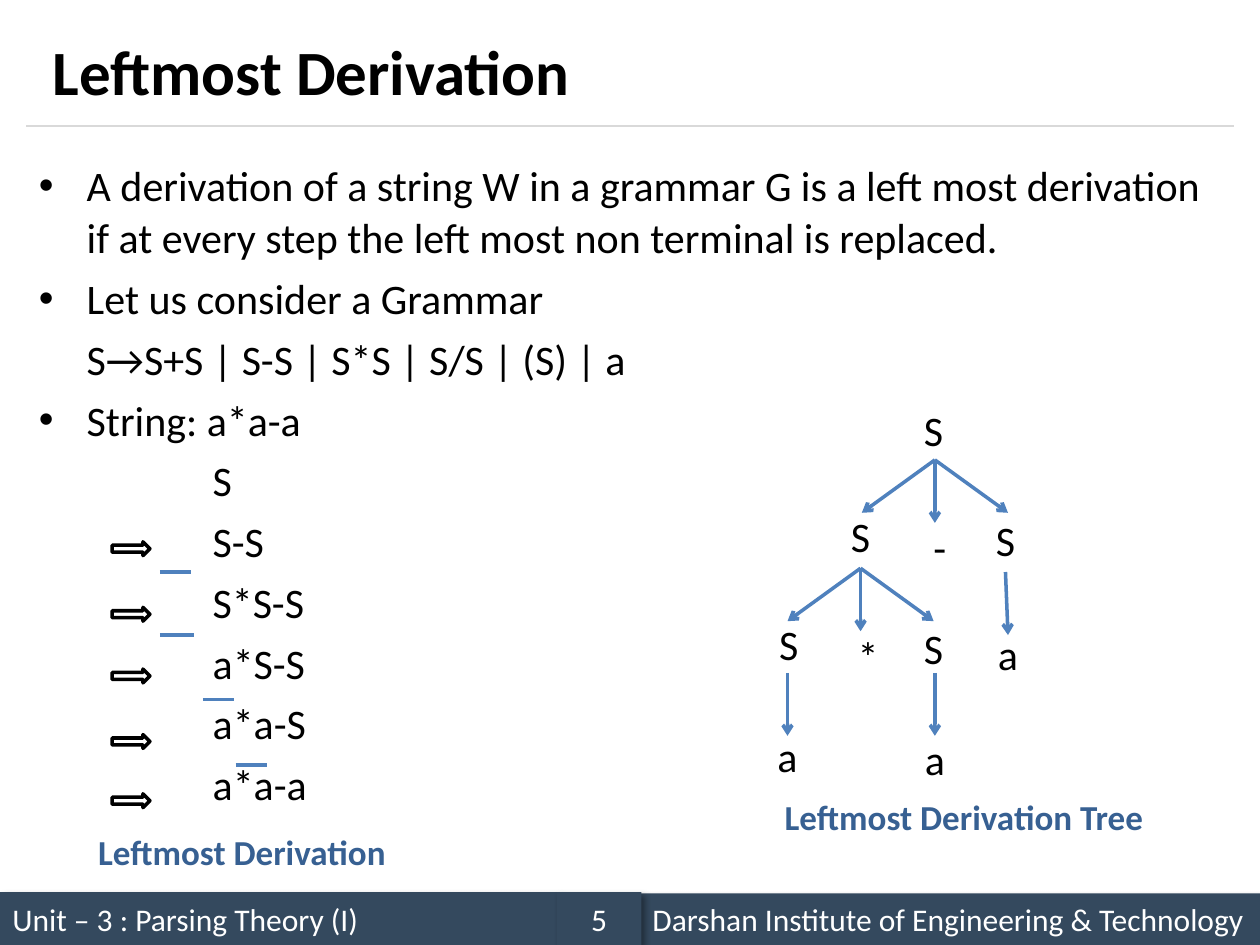
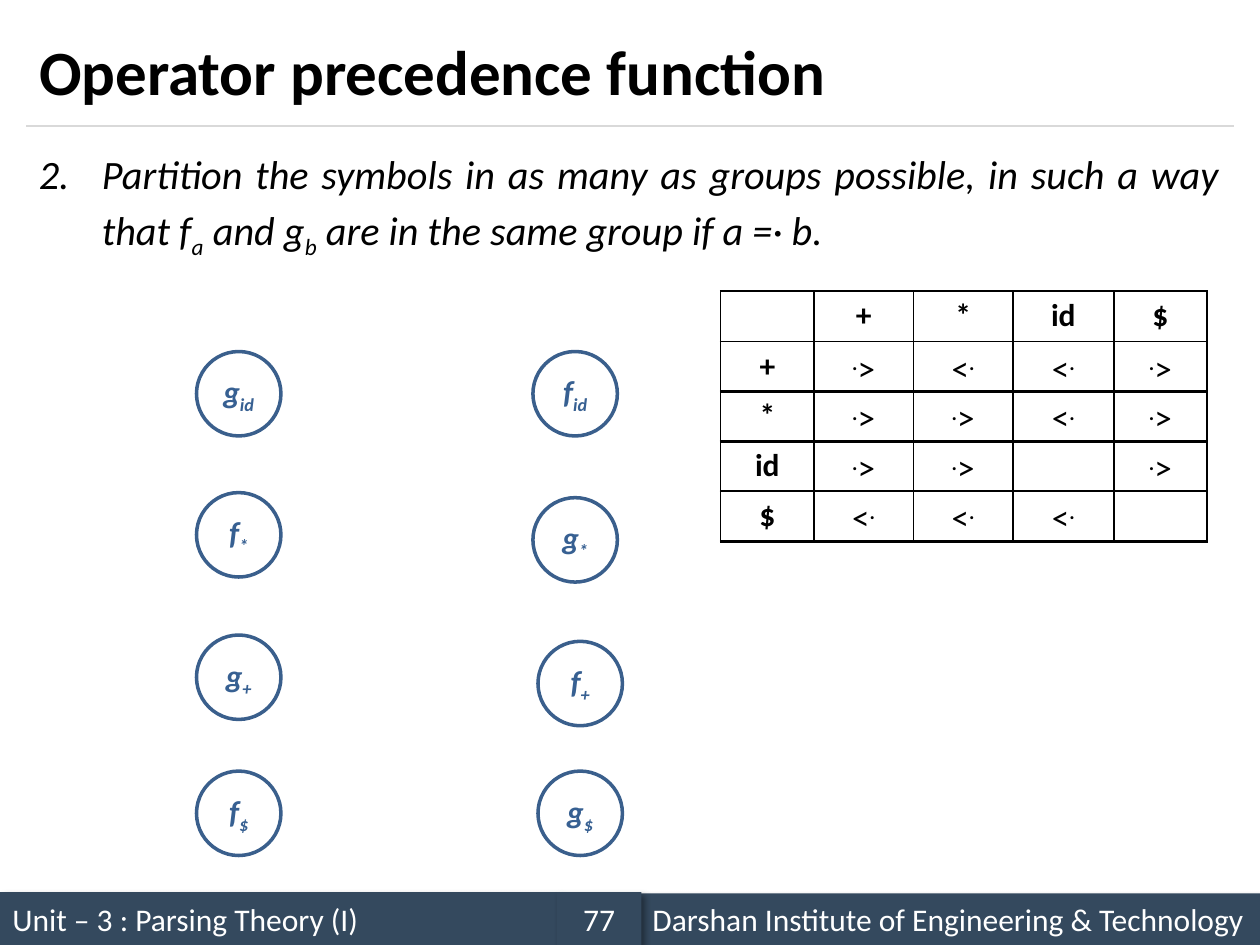
from lxml import etree
from pptx import Presentation
from pptx.dml.color import RGBColor
from pptx.enum.shapes import MSO_CONNECTOR, MSO_SHAPE
from pptx.enum.text import MSO_ANCHOR, PP_ALIGN
from pptx.oxml.ns import qn
from pptx.util import Inches, Pt

LINE = MSO_CONNECTOR.STRAIGHT
RECT = MSO_SHAPE.RECTANGLE
OVAL = MSO_SHAPE.OVAL
ARROW = MSO_SHAPE.RIGHT_ARROW
MIDDLE = MSO_ANCHOR.MIDDLE
LEFT, CENTER, JUSTIFY = PP_ALIGN.LEFT, PP_ALIGN.CENTER, PP_ALIGN.JUSTIFY

FONT = "Calibri"
BLACK, WHITE, GREY = "000000", "FFFFFF", "D9D9D9"
BAND, BLUE, RING, CAPTION = "34495E", "4F81BD", "3A5F8C", "376092"
SUB, SUPER = -25, 30


def rgb(code):
    return RGBColor.from_string(code)


def sub(parent, tag, **attrs):
    """Append a drawing element with its attributes."""
    node = etree.SubElement(parent, qn(tag))
    for key, value in attrs.items():
        node.set(key, str(value))
    return node


def box(left, top, width, height):
    return [Inches(n) for n in (left, top, width, height)]


# Text
def add_run(para, text, size, color=BLACK, bold=False, italic=False, base=0):
    run = para.add_run()
    run.text = text
    font = run.font
    font.name, font.size = FONT, Pt(size)
    font.bold, font.italic = bold, italic
    font.color.rgb = rgb(color)
    if base:
        run._r.get_or_add_rPr().set("baseline", str(base * 1000))


def set_frame(frame, margin=0, wrap=True):
    frame.word_wrap = wrap
    frame.vertical_anchor = MIDDLE
    frame.margin_left = Inches(margin)
    frame.margin_right = frame.margin_top = frame.margin_bottom = 0
    return frame.paragraphs[0]


def add_label(slide, x, y, text, size=24, color=BLACK, bold=False, width=0.5):
    """Text centred on a point."""
    height = 0.42
    shape = slide.shapes.add_textbox(*box(x - width / 2, y - height / 2, width, height))
    para = set_frame(shape.text_frame)
    para.alignment = CENTER
    add_run(para, text, size, color, bold)


def add_body(slide, top):
    frame = slide.shapes.add_textbox(*box(0.21, top, 9.58, 5.83)).text_frame
    frame.word_wrap = True
    return frame


def set_indent(para, left, hang=0):
    props = para._p.get_or_add_pPr()
    props.set("marL", str(Inches(left)))
    props.set("indent", str(-Inches(hang)))
    return props


# Shapes
def add_shape(slide, kind, place, fill=None, line=None):
    shape = slide.shapes.add_shape(kind, *box(*place))
    shape.shadow.inherit = False
    if fill:
        shape.fill.solid()
        shape.fill.fore_color.rgb = rgb(fill)
    else:
        shape.fill.background()
    if line:
        shape.line.color.rgb = rgb(line)
        shape.line.width = Pt(2)
    else:
        shape.line.fill.background()
    return shape


def add_line(slide, x1, y1, x2, y2, color=BLUE, width=2, head=False):
    link = slide.shapes.add_connector(LINE, *box(x1, y1, x2, y2))
    link.line.color.rgb = rgb(color)
    link.line.width = Pt(width)
    props = link._element.spPr
    if head:
        sub(props.find(qn("a:ln")), "a:tailEnd", type="arrow")
    sub(props, "a:effectLst")


def add_band(slide, place, text, align=LEFT):
    """Footer band with a soft shadow."""
    shape = add_shape(slide, RECT, place, fill=BAND)
    effects = shape._element.spPr.find(qn("a:effectLst"))
    shadow = sub(effects, "a:outerShdw", blurRad=Pt(4), dist=Pt(3),
                 dir=45 * 60000, algn="tl", rotWithShape=0)
    sub(sub(shadow, "a:srgbClr", val=BLACK), "a:alpha", val=40000)
    para = set_frame(shape.text_frame, 0.1 if align == LEFT else 0)
    para.alignment = align
    add_run(para, text, 18, WHITE)


def add_slide(deck, title, number, margin=0.1):
    """Slide with title, rule and footer."""
    slide = deck.slides.add_slide(deck.slide_layouts[5])
    add_band(slide, (0, 7.08, 4.42, 0.42), "Unit – 3 : Parsing Theory (I)")
    add_line(slide, 0.21, 1, 9.79, 1, GREY, 0.75)
    add_band(slide, (5.08, 7.09, 4.92, 0.41),
             "Darshan Institute of Engineering & Technology")
    add_band(slide, (4.42, 7.08, 0.67, 0.42), str(number), CENTER)
    head = slide.shapes.title
    head.left, head.top, head.width, head.height = box(0.21, 0.12, 9.58, 0.88)
    para = set_frame(head.text_frame, margin)
    para.alignment = LEFT
    add_run(para, title, 36, bold=True)
    return slide


# Derivation slide
def add_fork(slide, x, y, middle, shift=0):
    """Three branches that end in S, an operator and S."""
    for dx, dy in ((-0.58, 0.42), (0.58, 0.42), (0, 0.5)):
        add_line(slide, x, y, x + dx, y + dy, head=True)
    for dx, dy, text in ((-0.59, 0.6, "S"), (0.04, 0.69, middle), (0.56, 0.63, "S")):
        add_label(slide, x + dx + shift, y + dy, text)


def add_tree(slide):
    add_label(slide, 7.41, 3.41, "S")
    add_fork(slide, 7.42, 3.65, "-")
    add_fork(slide, 6.83, 4.51, "*", 0.02)
    for x, y, end, low in ((6.25, 5.34, 6.25, 6), (7.42, 5.34, 7.42, 6.02),
                           (7.98, 4.54, 8, 5.19)):
        add_line(slide, x, y, end, y + 0.5, head=True)
        add_label(slide, end, low, "a")
    add_label(slide, 7.65, 6.48, "Leftmost Derivation Tree", 20, CAPTION, True, 3.19)


def add_steps(slide):
    for y in (4.3, 4.82, 5.31, 5.83, 6.3):
        add_shape(slide, ARROW, (0.89, y, 0.3, 0.11), line=BLACK)
    for x, y, width in ((1.27, 4.54, 0.25), (1.27, 5.04, 0.27),
                        (1.61, 5.55, 0.25), (1.87, 6.07, 0.25)):
        add_line(slide, x, y, x + width, y)
    add_label(slide, 1.92, 6.76, "Leftmost Derivation", 20, CAPTION, True, 2.49)


def add_points(slide):
    frame = add_body(slide, 1.2)
    points = [
        ("A derivation of a string W in a grammar G is a left most derivation "
         "if at every step the left most non terminal is replaced.", 0.38, True),
        ("Let us consider a Grammar", 0.38, True),
        ("S→S+S | S-S | S*S | S/S | (S) | a", 0.38, False),
        ("String: a*a-a", 0.38, True),
    ]
    steps = ("S", "S-S", "S*S-S", "a*S-S", "a*a-S", "a*a-a")
    points += [(step, 1.38, False) for step in steps]
    for i, (text, left, dot) in enumerate(points):
        para = frame.add_paragraph() if i else frame.paragraphs[0]
        para.line_spacing = 1.04
        para.space_before = Pt(4.8 if i else 0)
        props = set_indent(para, left, 0.38 if dot else 0)
        if dot:
            sub(props, "a:buFont", typeface="Arial")
            sub(props, "a:buChar", char="•")
        add_run(para, text, 24)


# Precedence slide
def add_rule(slide):
    para = add_body(slide, 1.08).paragraphs[0]
    para.alignment = JUSTIFY
    para.line_spacing = 1.14
    props = set_indent(para, 0.5, 0.5)
    sub(props, "a:buFont", typeface="+mj-lt")
    sub(props, "a:buAutoNum", type="arabicPeriod", startAt=2)
    for text, base in (
        ("Partition the symbols in as many as groups possible, in such a way that f", 0),
        ("a", SUB), (" and g", 0), ("b", SUB),
        (" are in the same group if a =· b.", 0),
    ):
        add_run(para, text, 23, italic=True, base=base)


def add_node(slide, x, y, name, sign):
    ring = add_shape(slide, OVAL, (x, y, 0.67, 0.67), line=RING)
    para = set_frame(ring.text_frame, wrap=False)
    para.alignment = CENTER
    for text, base in ((name, 0), (sign, SUB)):
        add_run(para, text, 18, CAPTION, True, True, base)


def set_cell(cell, text, head):
    cell.margin_left = cell.margin_right = Inches(0.07)
    cell.margin_top = cell.margin_bottom = 0
    props = cell._tc.get_or_add_tcPr()
    for side in "LRTB":
        edge = sub(props, f"a:ln{side}", w=Pt(1))
        sub(sub(edge, "a:solidFill"), "a:srgbClr", val=BLACK)
    cell.fill.background()
    if not text:
        return
    para = cell.text_frame.paragraphs[0]
    para.alignment = CENTER
    para.line_spacing = 1.15
    if head:
        add_run(para, text, 18, bold=True)
        return
    for sign in text:
        dot = sign == "."
        add_run(para, sign, 20, bold=dot, base=SUPER if dot else 0)


def add_grid(slide, top, rows, height, head=False):
    widths = (0.74, 0.79, 0.79, 0.8, 0.74)
    place = box(5.72, top, sum(widths), height * len(rows))
    table = slide.shapes.add_table(len(rows), len(widths), *place).table
    table.first_row = table.horz_banding = False
    for col, width in zip(table.columns, widths):
        col.width = Inches(width)
    for line, row in zip(table.rows, rows):
        line.height = Inches(height)
        for c, text in enumerate(row):
            set_cell(line.cells[c], text, head or c == 0)


def add_matrix(slide):
    """Header, relations, and the empty frames that thicken the lower rules."""
    add_grid(slide, 2.31, [("", "+", "*", "id", "$")], 0.4, head=True)
    add_grid(slide, 2.71, [
        ("+", ".>", "<.", "<.", ".>"),
        ("*", ".>", ".>", "<.", ".>"),
        ("id", ".>", ".>", "", ".>"),
        ("$", "<.", "<.", "<.", ""),
    ], 1.58 / 4)
    for top in (3.11, 3.5, 3.9):
        add_grid(slide, top, [[""] * 5], 0.4)


def main():
    deck = Presentation()
    deck.slide_width, deck.slide_height = Inches(10), Inches(7.5)

    slide = add_slide(deck, "Leftmost Derivation", 5, margin=0.21)
    add_points(slide)
    add_tree(slide)
    add_steps(slide)

    slide = add_slide(deck, "Operator precedence function", 77)
    add_rule(slide)
    for x, y, name, sign in (
        (4.27, 5.09, "f", "+"), (1.56, 3.91, "f", "*"),
        (4.23, 2.79, "f", "id"), (1.56, 6.12, "f", "$"),
        (1.56, 5.04, "g", "+"), (4.23, 3.95, "g", "*"),
        (1.56, 2.79, "g", "id"), (4.27, 6.12, "g", "$"),
    ):
        add_node(slide, x, y, name, sign)
    add_matrix(slide)

    deck.save("out.pptx")


if __name__ == "__main__":
    main()
